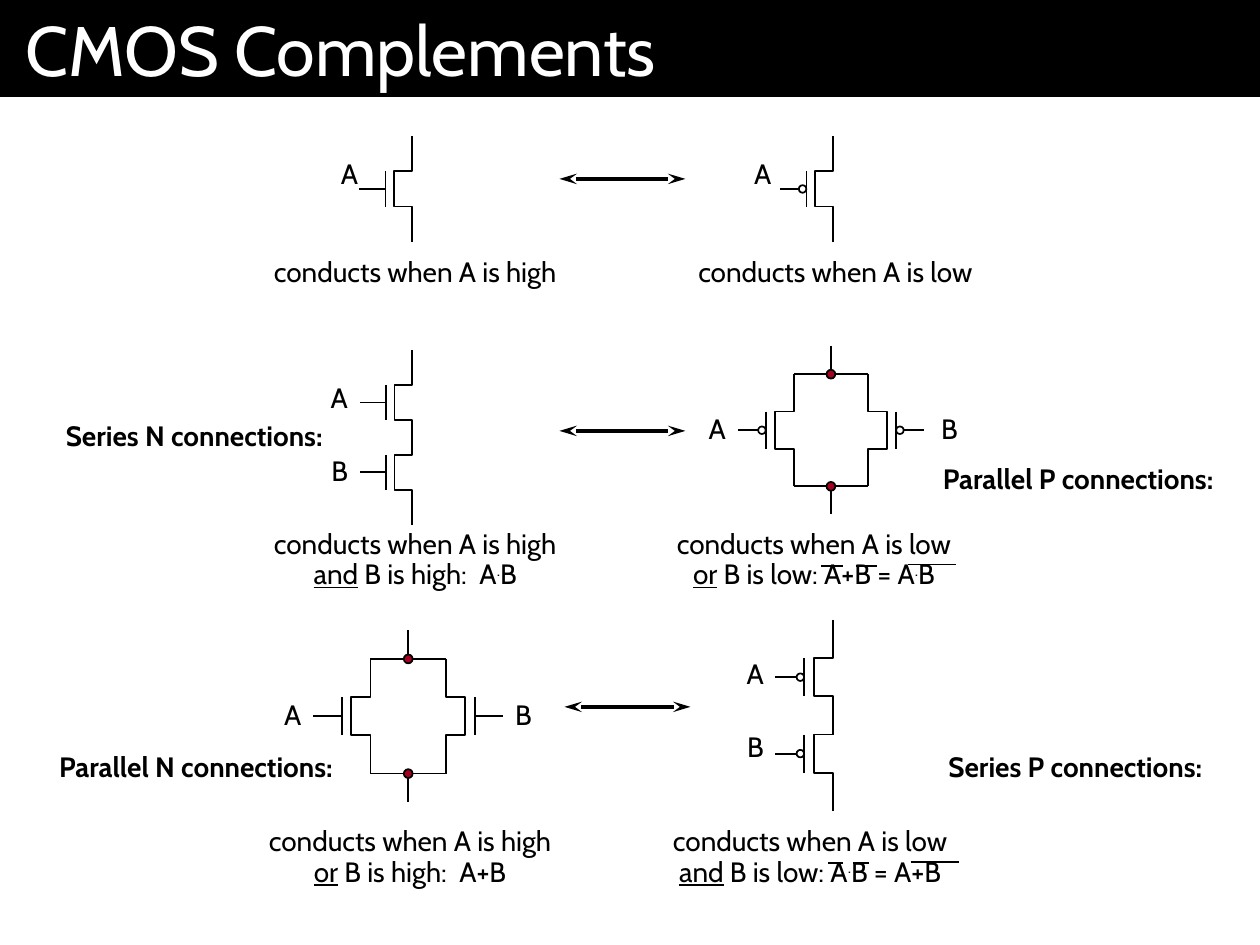
from lxml import etree
from pptx import Presentation
from pptx.dml.color import RGBColor
from pptx.enum import shapes, text
from pptx.oxml import ns
from pptx.util import Inches, Pt

BLACK = RGBColor(0, 0, 0)
WHITE = RGBColor(255, 255, 255)
RED = RGBColor(0xA5, 0x00, 0x21)
FONT = "Cabin"
LEFT, RIGHT = -1, 1

TITLE = "CMOS Complements"
# rail x, top, height, gate side, p-type
SINGLES = [(3.27, 1.08, 0.84, LEFT, False), (6.61, 1.08, 0.84, LEFT, True)]
# rail x, top, transistor height, p-type
SERIES = [(3.27, 2.78, 0.83, False), (6.61, 4.92, 0.91, True)]
# left rail x, right rail x, top, transistor height, p-type
PARALLELS = [(6.3, 6.89, 2.97, 0.89, True), (2.94, 3.54, 5.23, 0.91, False)]
ARROWS = [(4.44, 1.42), (4.44, 3.42), (4.48, 5.61)]
ARROW_LENGTH = 1
OVERBARS = [(6.52, 6.69, 4.49), (6.79, 6.96, 4.49), (7.21, 7.59, 4.48),
            (6.57, 6.69, 6.85), (6.77, 6.9, 6.85), (7.23, 7.61, 6.84)]

# left, top, width, lines of (text, style) runs
CAPTIONS = [
    (1.99, 2, 2.61, [[("conducts when A is high", "")]]),
    (5.37, 2, 2.52, [[("conducts when A is low", "")]]),
    (1.99, 4.16, 2.61, [[("conducts when A is high", "")],
                        [("and", "under"), (" B is high:  A", ""), (".", "raised"), ("B", "")]]),
    (5.2, 4.16, 2.52, [[("conducts when A is low", "")],
                       [("or", "under"), (" B is low: A+B = A", ""), (".", "raised"), ("B", "")]]),
    (1.95, 6.52, 2.61, [[("conducts when A is high", "")],
                        [("or", "under"), (" B is high:  A+B", "")]]),
    (5.13, 6.52, 2.6, [[("conducts when A is low", "")],
                       [("and", "under"), (" B is low: A", ""), (".", "raised"), ("B = A+B", "")]]),
]
# text, left, top, width, line spacing
INPUTS = [
    ("A", 2.57, 1.19, 0.37, 1), ("A", 5.85, 1.19, 0.37, 1),
    ("A", 2.49, 3, 0.37, 0.9), ("B", 2.52, 3.58, 0.34, 0.9),
    ("A", 5.49, 3.25, 0.37, 0.9), ("B", 7.36, 3.25, 0.34, 0.9),
    ("A", 2.12, 5.52, 0.37, 0.9), ("B", 3.98, 5.52, 0.34, 0.9),
    ("A", 5.79, 5.19, 0.37, 0.9), ("B", 5.82, 5.77, 0.34, 0.9),
]
HEADINGS = [
    ("Series N connections:", 0.03, 3.27, 2.63),
    ("Parallel N connections:", -0.05, 5.9, 2.79),
    ("Parallel P connections:", 6.96, 3.61, 2.77),
    ("Series P connections:", 7.03, 5.9, 2.61),
]

prs = Presentation()
prs.slide_width, prs.slide_height = Inches(10), Inches(7.5)
s = prs.slides.add_slide(prs.slide_layouts[5])


def line(x1, y1, x2, y2, width=1):
    c = s.shapes.add_connector(shapes.MSO_CONNECTOR.STRAIGHT,
                               Inches(x1), Inches(y1), Inches(x2), Inches(y2))
    c.line.color.rgb = BLACK
    c.line.width = Pt(width)
    etree.SubElement(c._element.spPr, ns.qn("a:effectLst"))
    return c


def double_arrow(x, y):
    ln = line(x, y, x + ARROW_LENGTH, y, 2).line._get_or_add_ln()
    for end in ("a:headEnd", "a:tailEnd"):
        etree.SubElement(ln, ns.qn(end), type="stealth", w="med", len="lg")


def circle(cx, cy, size, color):
    sp = s.shapes.add_shape(shapes.MSO_SHAPE.OVAL, Inches(cx - size / 2),
                            Inches(cy - size / 2), Inches(size), Inches(size))
    sp.shadow.inherit = False
    sp.fill.solid()
    sp.fill.fore_color.rgb = color
    sp.line.color.rgb = BLACK
    sp.line.width = Pt(1)


def transistor(x, top, h, side, p_type):
    """Draw the channel on the rail at x, with its gate towards side."""
    channel, gate = x + side * h / 6, x + side * h / 4
    upper, middle, lower = top + h / 3, top + h / 2, top + h * 2 / 3
    points = [(x, top), (x, upper), (channel, upper),
              (channel, lower), (x, lower), (x, top + h)]
    points = [(Inches(px), Inches(py)) for px, py in points]
    builder = s.shapes.build_freeform(*points[0])
    builder.add_line_segments(points[1:], close=False)
    sp = builder.convert_to_shape()
    sp.shadow.inherit = False
    sp.fill.background()
    sp.line.color.rgb = BLACK
    sp.line.width = Pt(1)
    line(gate, upper, gate, lower)
    bubble = 0.06 if p_type else 0
    line(gate + side * bubble, middle, x + side * h / 2, middle)
    if p_type:
        circle(gate + side * bubble / 2, middle, bubble, WHITE)


def series(x, top, h, p_type):
    for y in (top, top + h * 2 / 3):
        transistor(x, y, h, LEFT, p_type)


def parallel(x1, x2, top, h, p_type):
    transistor(x1, top, h, LEFT, p_type)
    transistor(x2, top, h, RIGHT, p_type)
    middle = (x1 + x2) / 2
    for y, stub in ((top, -h / 4), (top + h, h / 4)):
        line(x1, y, x2, y)
        line(middle, y, middle, y + stub)
        circle(middle, y, 0.07, RED)


def label(left, top, width, lines, align, spacing=1, bold=False):
    height = 0.11 + 0.24 * len(lines)
    tf = s.shapes.add_textbox(Inches(left), Inches(top),
                              Inches(width), Inches(height)).text_frame
    tf.word_wrap = False
    tf.auto_size = text.MSO_AUTO_SIZE.SHAPE_TO_FIT_TEXT
    p = tf.paragraphs[0]
    p.alignment, p.line_spacing = align, spacing
    p.font.name, p.font.size, p.font.bold = FONT, Pt(16), bold
    p.font.color.rgb = BLACK
    for i, runs in enumerate(lines):
        if i:
            p.add_line_break()
        for words, style in runs:
            r = p.add_run()
            r.text = words
            if style == "under":
                r.font.underline = True
            elif style == "raised":
                r._r.get_or_add_rPr().set("baseline", "30000")


title = s.shapes.title
title.left, title.top, title.width, title.height = 0, 0, Inches(10), Inches(0.77)
title.fill.solid()
title.fill.fore_color.rgb = BLACK
tf = title.text_frame
tf.text = TITLE
tf.margin_left = tf.margin_right = Inches(0.2)
tf.vertical_anchor = text.MSO_ANCHOR.MIDDLE
p = tf.paragraphs[0]
p.alignment = text.PP_ALIGN.LEFT
p.font.name, p.font.size = FONT, Pt(40)
p.font.color.rgb = WHITE

for draw, items in ((transistor, SINGLES), (series, SERIES),
                    (parallel, PARALLELS), (double_arrow, ARROWS)):
    for item in items:
        draw(*item)
for left, top, width, lines in CAPTIONS:
    label(left, top, width, lines, text.PP_ALIGN.CENTER, 0.9)
for x1, x2, y in OVERBARS:
    line(x1, y, x2, y)
for words, left, top, width, spacing in INPUTS:
    label(left, top, width, [[(words, "")]], text.PP_ALIGN.RIGHT, spacing)
for words, left, top, width in HEADINGS:
    label(left, top, width, [[(words, "")]], text.PP_ALIGN.RIGHT, bold=True)

prs.save("out.pptx")
